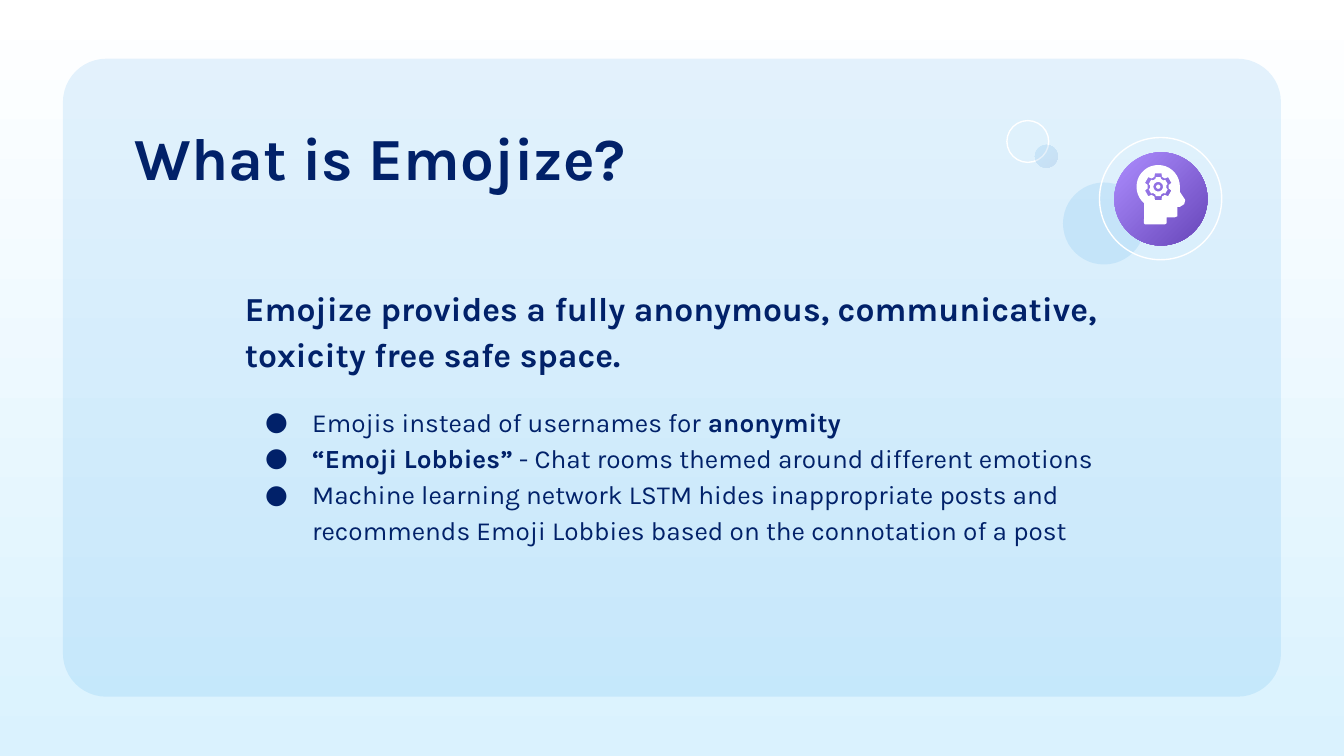
from math import cos, sin, radians
from lxml import etree
from pptx import Presentation
from pptx.dml.color import RGBColor
from pptx.enum.shapes import MSO_SHAPE
from pptx.enum.text import MSO_ANCHOR
from pptx.oxml.ns import qn
from pptx.util import Cm, Pt

OVAL, ROUNDED = MSO_SHAPE.OVAL, MSO_SHAPE.ROUNDED_RECTANGLE
TOP, BOTTOM = MSO_ANCHOR.TOP, MSO_ANCHOR.BOTTOM
FONT = "Karla"
COLORS = {"white": "FFFFFF", "sky": "DAF2FE", "blue": "0388E5", "deep": "0048A7",
          "navy": "012169", "lilac": "AD8DFF", "purple": "6746B9"}


def rgb(name):
    return RGBColor.from_string(COLORS[name])


def paint(sp, fills=(), line=None, alpha=None):
    """Give a shape no, one or two (gradient) fill colours and an optional line."""
    sp.shadow.inherit = False
    if len(fills) == 2:
        sp.fill.gradient()
        sp.fill.gradient_angle = 315
        for stop, name in zip(sp.fill.gradient_stops, fills):
            stop.color.rgb = rgb(name)
    elif fills:
        sp.fill.solid()
        sp.fill.fore_color.rgb = rgb(fills[0])
    else:
        sp.fill.background()
    if alpha:
        for clr in sp._element.spPr.iter(qn("a:srgbClr")):
            etree.SubElement(clr, qn("a:alpha")).set("val", str(alpha * 1000))
    if line:
        sp.line.color.rgb = rgb(line)
        sp.line.width = Pt(0.75)
    else:
        sp.line.fill.background()


prs = Presentation()
prs.slide_width, prs.slide_height = Cm(25.4), Cm(14.29)
s = prs.slides.add_slide(prs.slide_layouts[6])

# Background and panel
bg = s.background.fill
bg.gradient()
bg.gradient_angle = 270
for stop, name in zip(bg.gradient_stops, ("white", "sky")):
    stop.color.rgb = rgb(name)
panel = s.shapes.add_shape(ROUNDED, Cm(1.19), Cm(1.11), Cm(23.02), Cm(12.06))
panel.adjustments[0] = 0.068
paint(panel, ["blue"], alpha=10)

# Text: box, anchor, size, line spacing, bulleted, paragraphs of (text, bold) runs
texts = [
    ((2.29, 2.03, 20.8, 1.85), TOP, 32, 1.0, False, [[("What is Emojize?", True)]]),
    ((4.37, 5.16, 16.66, 2.18), BOTTOM, 18, 1.15, False,
     [[("Emojize provides a fully anonymous, communicative, "
        "toxicity free safe space.", True)]]),
    ((4.37, 7.34, 16.66, 3.48), TOP, 14, 1.15, True,
     [[("Emojis instead of usernames for ", False), ("anonymity", True)],
      [("“Emoji Lobbies”", True),
       (" - Chat rooms themed around different emotions", False)],
      [("Machine learning network LSTM hides inappropriate posts and "
        "recommends Emoji Lobbies based on the connotation of a post", False)]]),
]
for box, anchor, size, spacing, bulleted, paragraphs in texts:
    tf = s.shapes.add_textbox(*map(Cm, box)).text_frame
    tf.word_wrap = True
    tf.vertical_anchor = anchor
    tf.margin_left = tf.margin_right = tf.margin_top = tf.margin_bottom = Cm(0.26)
    for i, runs in enumerate(paragraphs):
        p = tf.add_paragraph() if i else tf.paragraphs[0]
        p.line_spacing = spacing
        if bulleted:
            pPr = p._p.get_or_add_pPr()
            pPr.set("marL", str(Cm(1.27)))
            pPr.set("indent", str(Cm(-0.89)))
            clr = etree.SubElement(pPr, qn("a:buClr"))
            etree.SubElement(clr, qn("a:srgbClr")).set("val", COLORS["navy"])
            etree.SubElement(pPr, qn("a:buSzPts")).set("val", str(size * 100))
            etree.SubElement(pPr, qn("a:buFont")).set("typeface", FONT)
            etree.SubElement(pPr, qn("a:buChar")).set("char", "●")
        for text, bold in runs:
            r = p.add_run()
            r.text = text
            r.font.name, r.font.size, r.font.bold = FONT, Pt(size), bold
            r.font.color.rgb = rgb("navy")

# Bubbles and badge: left, top, diameter, fills, line, alpha
circles = [
    (20.09, 3.45, 1.55, ["blue"], None, 10),
    (19.03, 2.28, 0.79, [], "white", None),
    (19.56, 2.74, 0.43, ["blue", "deep"], None, 10),
    (20.78, 2.6, 2.31, [], "white", None),
    (21.06, 2.88, 1.76, ["lilac", "purple"], None, None),
    (21.85, 3.49, 0.08, ["white"], None, None),
]
for left, top, size, fills, line, alpha in circles:
    sp = s.shapes.add_shape(OVAL, Cm(left), Cm(top), Cm(size), Cm(size))
    paint(sp, fills, line, alpha)

# Head with gear: outlines are (radius, angle) points around the gear centre
cx, cy = 21.89, 3.53
gears = []
for tip, valley in ((0.26, 0.2), (0.185, 0.155)):
    gears.append([(radius, tooth + turn) for tooth in range(30, 390, 60)
                  for radius, turn in ((valley, -21), (tip, -14), (tip, 14), (valley, 21))])
skull = [(0.41, angle) for angle in range(130, 361, 10)]
hub = [(0.09, angle) for angle in range(0, 360, 15)]
skull, cutout, gear, hub = [
    [(cx + radius * cos(radians(a)), cy + radius * sin(radians(a))) for radius, a in outline]
    for outline in (skull, gears[0], gears[1], hub)]
face = [(22.3, 3.63), (22.4, 3.78), (22.38, 3.86), (22.3, 3.91), (22.25, 3.91),
        (22.25, 4.09), (22.2, 4.11), (22.05, 4.11), (22.05, 4.22), (22.02, 4.24),
        (21.64, 4.24), (21.62, 4.22)]
for contours in ((skull + face, cutout), (gear, hub)):
    outer, hole = [[(Cm(x), Cm(y)) for x, y in contour] for contour in contours]
    fb = s.shapes.build_freeform(*outer[0])
    fb.add_line_segments(outer[1:], close=True)
    fb.move_to(*hole[0])
    fb.add_line_segments(hole[1:], close=True)
    paint(fb.convert_to_shape(), ["white"])

prs.save("out.pptx")
